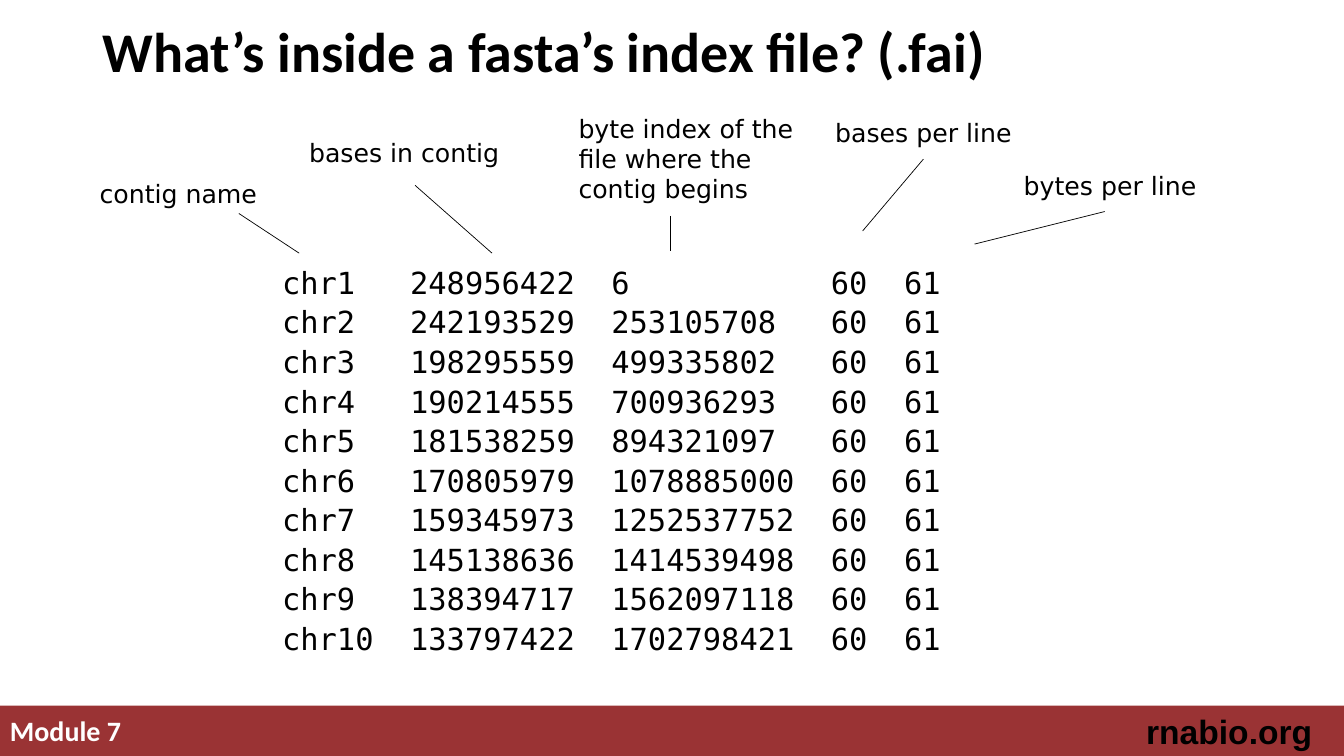
from lxml import etree
from pptx import Presentation
from pptx.dml.color import RGBColor
from pptx.enum.shapes import MSO_CONNECTOR, MSO_SHAPE
from pptx.enum.text import MSO_ANCHOR, PP_ALIGN
from pptx.oxml.ns import qn
from pptx.util import Cm, Pt

STRAIGHT = MSO_CONNECTOR.STRAIGHT
RECTANGLE = MSO_SHAPE.RECTANGLE
MIDDLE = MSO_ANCHOR.MIDDLE
LEFT, RIGHT = PP_ALIGN.LEFT, PP_ALIGN.RIGHT

BLACK, WHITE, BRICK = "000000", "FFFFFF", "9A3334"
TITLE = {"name": "Calibri", "size": Pt(40), "bold": True}
MODULE = {"name": "Calibri", "size": Pt(20), "bold": True}
SITE = {"name": "Arial", "size": Pt(24), "bold": True}
LABEL = {"name": "DejaVu Sans", "size": Pt(18)}
LISTING = {"name": "DejaVu Sans Mono", "size": Pt(21.7)}


def color(hex_code):
    return RGBColor.from_string(hex_code)


def add_text(place, lines, style, ink=BLACK, align=LEFT, wrap=True, tabs=()):
    """Add a text box with one paragraph per line; place and tabs are in cm."""
    box = page.shapes.add_textbox(*map(Cm, place))
    frame = box.text_frame
    frame.word_wrap = wrap
    for index, line in enumerate(lines):
        para = frame.paragraphs[0] if index == 0 else frame.add_paragraph()
        para.alignment = align
        if tabs:
            tab_list = etree.SubElement(para._p.get_or_add_pPr(), qn("a:tabLst"))
            for stop in tabs:
                etree.SubElement(tab_list, qn("a:tab"), pos=str(Cm(stop)), algn="l")
        span = para.add_run()
        span.text = line
        for name, value in style.items():
            setattr(span.font, name, value)
        span.font.color.rgb = color(ink)
    return frame


deck = Presentation()
deck.slide_width, deck.slide_height = Cm(33.87), Cm(19.05)
page = deck.slides.add_slide(deck.slide_layouts[6])

# Footer
band = page.shapes.add_shape(RECTANGLE, Cm(0), Cm(17.78), Cm(33.87), Cm(1.27))
band.shadow.inherit = False
band.fill.solid()
band.fill.fore_color.rgb = color(BRICK)
band.line.fill.background()
add_text((0, 17.86, 18.62, 1.09), ["Module 7"], MODULE, ink=WHITE)
add_text((26.77, 17.78, 6.55, 1.27), ["rnabio.org"], SITE, align=RIGHT)

# Title
title = add_text((2.34, 0.28, 29.21, 2.16),
                 ["What’s inside a fasta’s index file? (.fai)"], TITLE)
title.vertical_anchor = MIDDLE
title.paragraphs[0].line_spacing = 0.9

# Index listing: tab stops fall on whole characters of the fixed-width font
CHARACTER_WIDTH = 0.461
column_starts = [7, 18, 30, 34]
contigs = [
    (248956422, 6),
    (242193529, 253105708),
    (198295559, 499335802),
    (190214555, 700936293),
    (181538259, 894321097),
    (170805979, 1078885000),
    (159345973, 1252537752),
    (145138636, 1414539498),
    (138394717, 1562097118),
    (133797422, 1702798421),
]
rows = [f"chr{number}\t{bases}\t{offset}\t60\t61"
        for number, (bases, offset) in enumerate(contigs, start=1)]
listing = add_text((6.86, 6.78, 18.11, 10.72), rows, LISTING,
                   tabs=[start * CHARACTER_WIDTH for start in column_starts])
for index, para in enumerate(listing.paragraphs):
    para.line_spacing = 0.7
    para.space_before = Pt(10 if index else 0)

# Column labels, each with its pointer: text, place, wrap, line start, line end
labels = [
    ("contig name", (2.26, 4.37, 4.5, 1.02), False, (6.02, 5.38), (7.54, 6.38)),
    ("bases in contig", (7.54, 3.33, 5.33, 1.02), False, (10.46, 4.67), (12.4, 6.38)),
    ("byte index of the file where the contig begins",
     (14.33, 2.72, 5.99, 2.57), True, (16.89, 5.44), (16.89, 6.32)),
    ("bases per line", (20.8, 2.84, 5.99, 1.02), True, (23.27, 4.01), (21.74, 5.82)),
    ("bytes per line", (25.55, 4.17, 5.99, 1.02), True, (27.84, 5.33), (24.56, 6.15)),
]
for text, place, wrap, start, end in labels:
    add_text(place, [text], LABEL, wrap=wrap)
    pointer = page.shapes.add_connector(STRAIGHT, *map(Cm, start + end))
    pointer.line.color.rgb = color(BLACK)
    pointer.line.width = Pt(0.5)
    etree.SubElement(pointer._element.spPr, qn("a:effectLst"))

deck.save("out.pptx")
